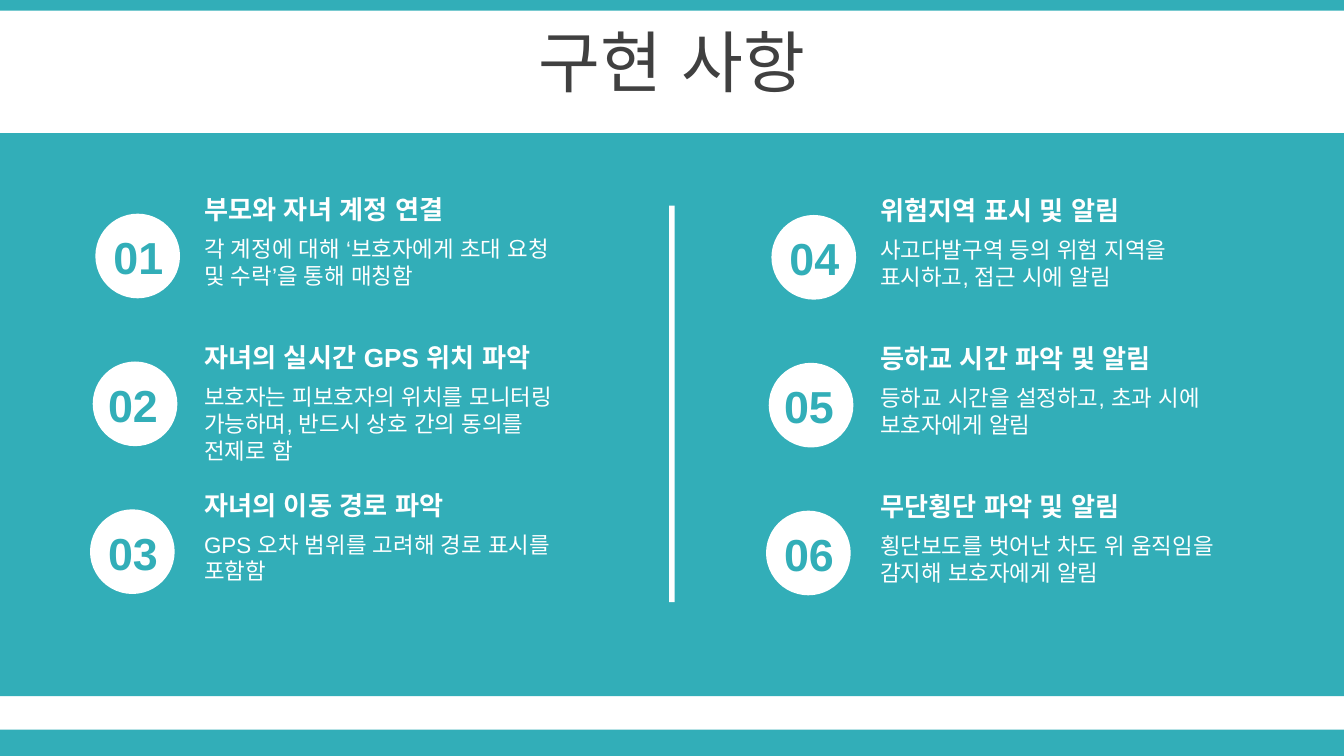
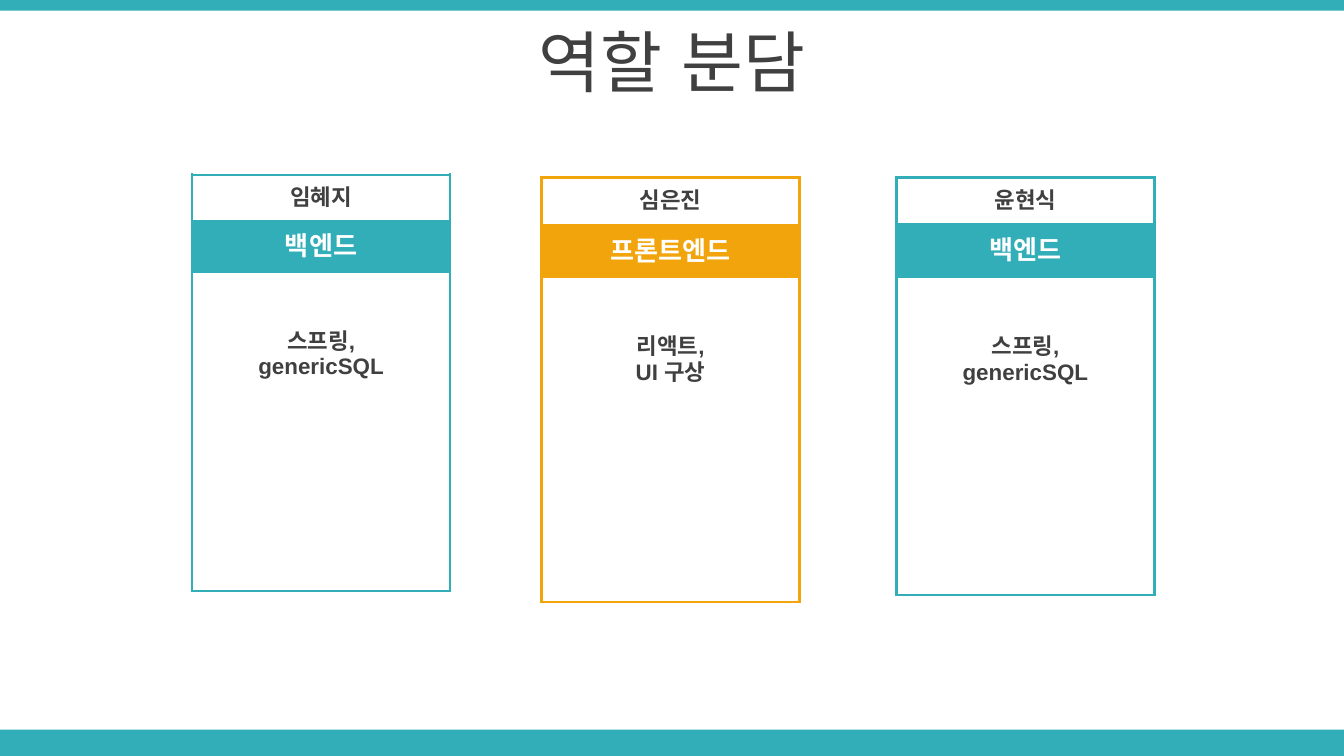
import pptx
import pptx.dml.color
import pptx.enum.shapes
import pptx.enum.text
import pptx.oxml
import pptx.oxml.ns
import pptx.util

Inches = pptx.util.Inches
Pt = pptx.util.Pt
RGBColor = pptx.dml.color.RGBColor
MSO_SHAPE = pptx.enum.shapes.MSO_SHAPE
MSO_ANCHOR = pptx.enum.text.MSO_ANCHOR
PP_ALIGN = pptx.enum.text.PP_ALIGN

COLORS = {"teal": "32AEB8", "orange": "F2A40D", "white": "FFFFFF", "dark": "404040"}
FONT = "Arial"
NAMESPACE = pptx.oxml.ns.nsdecls("a")


def add_block(slide, kind, left, top, width, height, color):
    """Add a filled preset shape without outline or shadow."""
    shape = slide.shapes.add_shape(
        kind, Inches(left), Inches(top), Inches(width), Inches(height))
    shape.shadow.inherit = False
    shape.fill.solid()
    shape.fill.fore_color.rgb = RGBColor.from_string(COLORS[color])
    shape.line.fill.background()


def write(frame, lines, size, color, bold=False, align=PP_ALIGN.LEFT):
    """Fill a text frame with one paragraph per line, all in one style."""
    frame.word_wrap = True
    for index, line in enumerate(lines):
        paragraph = frame.paragraphs[0] if index == 0 else frame.add_paragraph()
        paragraph.text = line
        paragraph.alignment = align
        paragraph.font.name = FONT
        paragraph.font.size = Pt(size)
        paragraph.font.bold = bold
        paragraph.font.color.rgb = RGBColor.from_string(COLORS[color])
        # Korean text takes the East Asian typeface
        paragraph.font._rPr.append(
            pptx.oxml.parse_xml(f'<a:ea {NAMESPACE} typeface="{FONT}"/>'))


presentation = pptx.Presentation()
presentation.slide_width = Inches(10)
presentation.slide_height = Inches(5.625)

# Bands and title on every slide
slides = []
for title in ("구현 사항", "역할 분담"):
    slide = presentation.slides.add_slide(presentation.slide_layouts[6])
    add_block(slide, MSO_SHAPE.RECTANGLE, 0, 5.43, 10, 0.2, "teal")
    add_block(slide, MSO_SHAPE.RECTANGLE, 0, 0, 10, 0.08, "teal")
    title_box = slide.shapes.add_textbox(0, Inches(0.14), Inches(10), Inches(0.63))
    title_box.text_frame.vertical_anchor = MSO_ANCHOR.MIDDLE
    write(title_box.text_frame, [title], 36, "dark", align=PP_ALIGN.CENTER)
    slides.append(slide)
features_slide, roles_slide = slides

# Six features in two columns
features = [
    ("부모와 자녀 계정 연결", "각 계정에 대해 ‘보호자에게 초대 요청 및 수락’을 통해 매칭함"),
    ("자녀의 실시간 GPS 위치 파악",
     "보호자는 피보호자의 위치를 모니터링 가능하며, 반드시 상호 간의 동의를 전제로 함"),
    ("자녀의 이동 경로 파악", "GPS 오차 범위를 고려해 경로 표시를 포함함"),
    ("위험지역 표시 및 알림", "사고다발구역 등의 위험 지역을 표시하고, 접근 시에 알림"),
    ("등하교 시간 파악 및 알림", "등하교 시간을 설정하고, 초과 시에 보호자에게 알림"),
    ("무단횡단 파악 및 알림", "횡단보도를 벗어난 차도 위 움직임을 감지해 보호자에게 알림"),
]
number_lefts = (0.68, 0.64, 0.64)
add_block(features_slide, MSO_SHAPE.RECTANGLE, 0, 0.99, 10, 4.19, "teal")
add_block(features_slide, MSO_SHAPE.RECTANGLE, 4.98, 1.53, 0.04, 2.95, "white")
for index, (heading, description) in enumerate(features):
    column, row = divmod(index, 3)
    left = 5.03 * column
    top = 1.1 * row + 0.01 * column
    add_block(features_slide, MSO_SHAPE.OVAL,
              left + 0.71 - 0.02 * row, top + 1.59, 0.63, 0.63, "white")
    for text, x, y, width, height, size, color, bold, align in (
        (description, 1.42, 1.7, 2.91, 0.5, 12, "white", False, PP_ALIGN.LEFT),
        (heading, 1.42, 1.39, 2.91, 0.34, 14, "white", True, PP_ALIGN.LEFT),
        (f"{index + 1:02}", number_lefts[row], 1.66, 0.7, 0.5, 24, "teal", True,
         PP_ALIGN.CENTER),
    ):
        box = features_slide.shapes.add_textbox(
            Inches(left + x), Inches(top + y), Inches(width), Inches(height))
        write(box.text_frame, [text], size, color, bold, align)

# One role card per member
members = [
    ("임혜지", "백엔드", ["스프링,", "genericSQL"], "teal", 1.43, 1.3,
     (0.34, 0.39, 1.2, 0.24, 0.24, 0.37, 0.32)),
    ("심은진", "프론트엔드", ["리액트,", "UI 구상"], "orange", 4.03, 1.32,
     (0.35, 0.4, 1.01, 0.36, 0.36, 0.41, 0.27)),
    ("윤현식", "백엔드", ["스프링,", "genericSQL"], "teal", 6.67, 1.32,
     (0.34, 0.41, 0.97, 0.36, 0.36, 0.4, 0.27)),
]
column_widths = (0.25, 1.42, 0.25)
for name, role, skills, color, left, top, row_heights in members:
    table = roles_slide.shapes.add_table(
        len(row_heights), len(column_widths), Inches(left), Inches(top),
        Inches(sum(column_widths)), Inches(sum(row_heights))).table
    table.first_row = False
    table.horz_banding = False
    for column, width in zip(table.columns, column_widths):
        column.width = Inches(width)
    for row, height in zip(table.rows, row_heights):
        row.height = Inches(height)
    last_row, last_column = len(row_heights) - 1, len(column_widths) - 1
    for row in (0, 1, last_row):
        table.cell(row, 0).merge(table.cell(row, last_column))
    table.cell(3, 1).merge(table.cell(5, 1))

    texts = {(0, 0): ([name], 12, "dark"), (1, 0): ([role], 14, "white"),
             (2, 1): (skills, 12, "dark")}
    for row in range(last_row + 1):
        for column in range(last_column + 1):
            cell = table.cell(row, column)
            cell.margin_top = cell.margin_bottom = Inches(0.02)
            if (row, column) in texts:
                lines, size, text_color = texts[row, column]
                write(cell.text_frame, lines, size, text_color, True, PP_ALIGN.CENTER)
                cell.vertical_anchor = MSO_ANCHOR.MIDDLE
            else:
                cell.text_frame.paragraphs[0].font.size = Pt(8)

            # Only the outer edges of the card are ruled
            span = cell.span_width if cell.is_merge_origin else 1
            edges = {"lnL": column == 0, "lnR": column + span - 1 == last_column,
                     "lnT": row == 0, "lnB": row == last_row}
            properties = cell._tc.get_or_add_tcPr()
            for tag, ruled in edges.items():
                fill = (f'<a:solidFill><a:srgbClr val="{COLORS[color]}"/></a:solidFill>'
                        if ruled else "<a:noFill/>")
                properties.append(pptx.oxml.parse_xml(
                    f'<a:{tag} {NAMESPACE} w="{Pt(1.5)}">{fill}</a:{tag}>'))
            cell.fill.solid()
            cell.fill.fore_color.rgb = RGBColor.from_string(
                COLORS[color if row == 1 else "white"])
    skills_cell = table.cell(2, 1)
    skills_cell.vertical_anchor = MSO_ANCHOR.TOP
    skills_cell.margin_top = Inches(0.42)

presentation.save("out.pptx")
